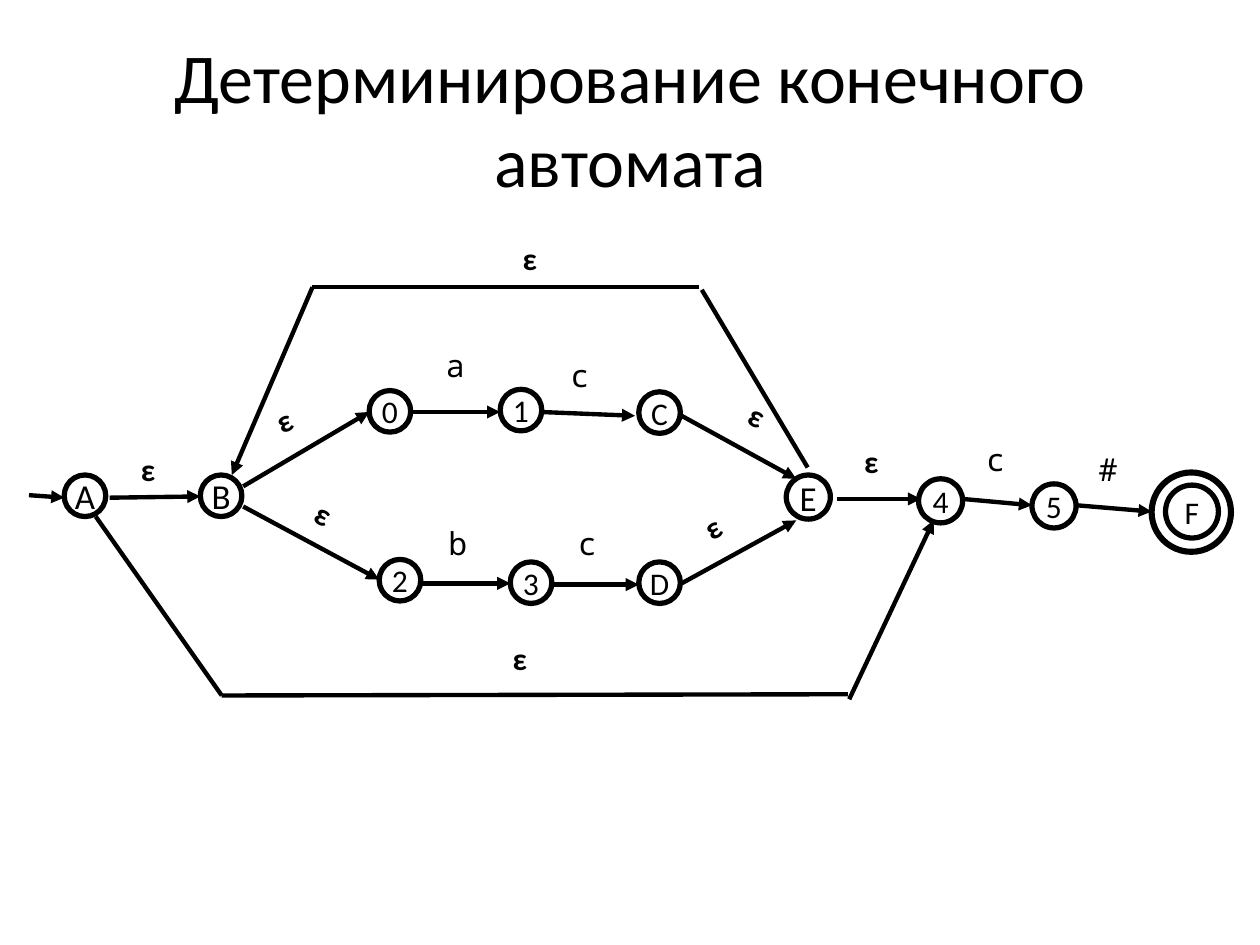
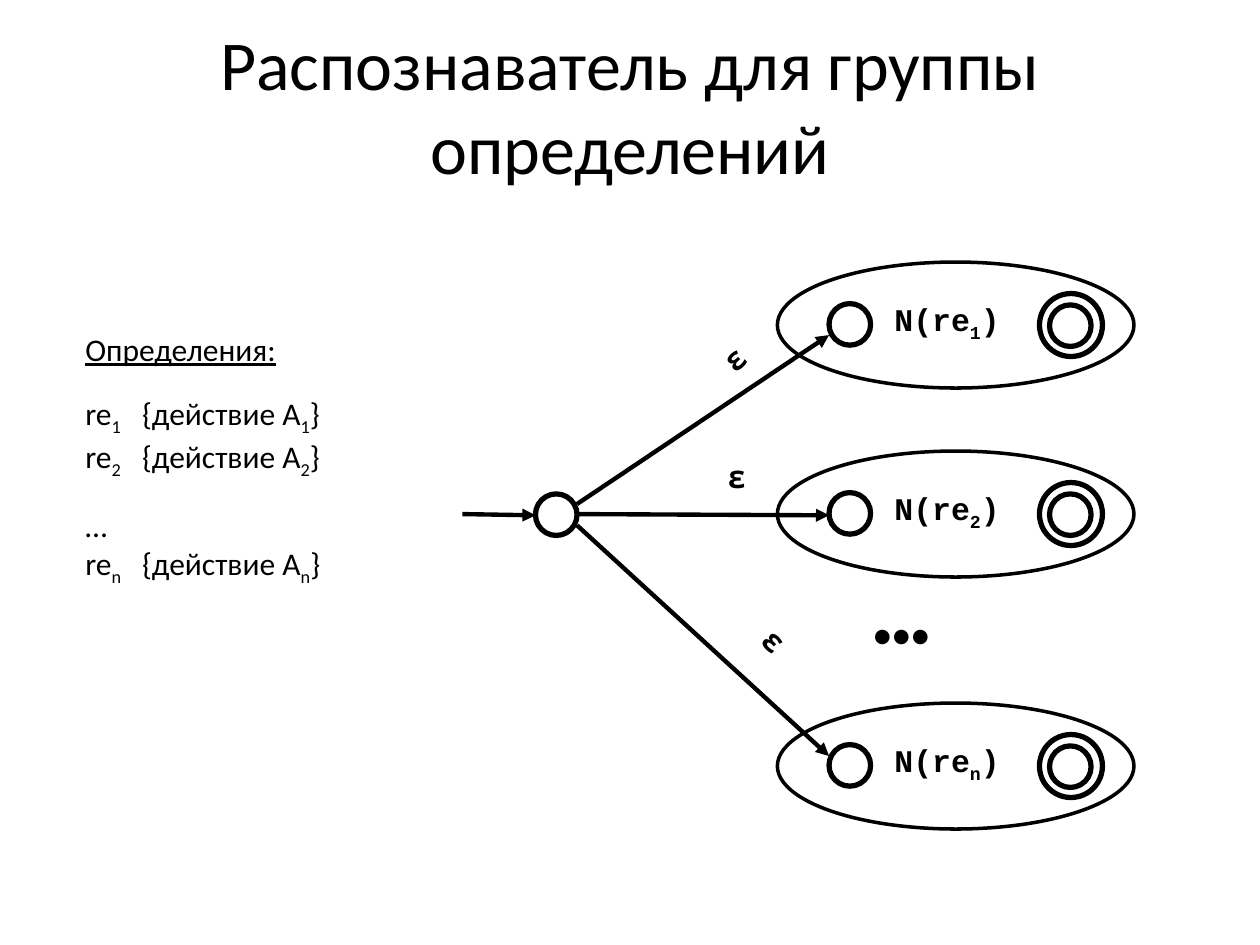
from pptx import Presentation
from pptx.dml.color import RGBColor
from pptx.enum.shapes import MSO_CONNECTOR, MSO_SHAPE
from pptx.enum.text import MSO_ANCHOR, PP_ALIGN
from pptx.oxml.ns import qn
from pptx.util import Inches, Pt
from lxml import etree

BLACK = RGBColor(0, 0, 0)
WHITE = RGBColor(255, 255, 255)
OVAL = MSO_SHAPE.OVAL
STRAIGHT = MSO_CONNECTOR.STRAIGHT
MIDDLE = MSO_ANCHOR.MIDDLE
CENTER = PP_ALIGN.CENTER
BODY, CODE, MONO = "Calibri", "Courier New", "Noto Sans Mono"
DOT = 0.33  # diameter of a plain state


class Deck:
    def __init__(self):
        self.prs = Presentation()
        self.prs.slide_width = Inches(10)
        self.prs.slide_height = Inches(7.5)
        self.slide = None

    def page(self, title, top):
        self.slide = self.prs.slides.add_slide(self.prs.slide_layouts[6])
        fill = self.slide.background.fill
        fill.solid()
        fill.fore_color.rgb = WHITE
        box = self.text(title, 0.5, top, 9, 1.44, size=40)
        box.text_frame.vertical_anchor = MIDDLE
        box.text_frame.paragraphs[0].alignment = CENTER

    def style(self, run, size, face=BODY, bold=False, line=False):
        font = run.font
        font.size, font.name, font.bold = Pt(size), face, bold
        font.underline = line
        font.color.rgb = BLACK

    def text(self, words, x, y, wide, high, size=18, face=BODY, bold=False, turn=0):
        box = self.slide.shapes.add_textbox(
            Inches(x), Inches(y), Inches(wide), Inches(high))
        box.rotation = turn
        frame = box.text_frame
        frame.word_wrap = True
        self.fill(frame.paragraphs[0], words, size, face, bold)
        return box

    def fill(self, para, words, size=18, face=BODY, bold=False, line=False):
        """Write text; the letter after each underscore is a subscript."""
        for row, part in enumerate(words.split("\n")):
            if row:
                para.add_line_break()
            head, *rest = part.split("_")
            bits = [(head, False)]
            for piece in rest:
                bits += [(piece[0], True), (piece[1:], False)]
            for bit, low in bits:
                run = para.add_run()
                run.text = bit
                self.style(run, size, face, bold, line)
                if low:
                    run._r.get_or_add_rPr().set("baseline", "-25000")

    def oval(self, x, y, wide=DOT, high=None, width=3, name="", size=18):
        shape = self.slide.shapes.add_shape(
            OVAL, Inches(x), Inches(y), Inches(wide), Inches(high or wide))
        shape.shadow.inherit = False
        shape.fill.background()
        shape.line.color.rgb = BLACK
        shape.line.width = Pt(width)
        if name:
            frame = shape.text_frame
            frame.text = name
            frame.word_wrap = False
            frame.vertical_anchor = MIDDLE
            para = frame.paragraphs[0]
            para.alignment = CENTER
            self.style(para.runs[0], size)

    def link(self, x1, y1, x2, y2, arrow=True):
        line = self.slide.shapes.add_connector(
            STRAIGHT, Inches(x1), Inches(y1), Inches(x2), Inches(y2))
        line.line.color.rgb = BLACK
        line.line.width = Pt(2.5)
        if arrow:
            tail = etree.SubElement(line.line._get_or_add_ln(), qn("a:tailEnd"))
            tail.set("type", "triangle")
        etree.SubElement(line._element.spPr, qn("a:effectLst"))

    def notes(self, words, x, y, wide):
        """Stacked paragraphs, the first one underlined as a heading."""
        box = self.text("", x, y, wide, 2.65)
        frame = box.text_frame
        for i, item in enumerate(words):
            para = frame.add_paragraph() if i else frame.paragraphs[0]
            para.space_before = Pt(15)
            self.fill(para, item, line=i == 0)
            tabs = etree.SubElement(para._p.get_or_add_pPr(), qn("a:tabLst"))
            stop = etree.SubElement(tabs, qn("a:tab"))
            stop.set("pos", str(Inches(0.45)))
            stop.set("algn", "l")


def graph(deck):
    deck.page("Детерминирование конечного автомата", 0.21)

    # States: name, left, top, diameter, text size
    for name, x, y, wide, size in (
            ("А", 0.51, 3.77, DOT, 20), ("B", 1.59, 3.77, DOT, 20),
            ("0", 2.93, 3.1, DOT, 18), ("1", 3.97, 3.09, DOT, 18),
            ("C", 5.07, 3.11, DOT, 18), ("2", 3.01, 4.44, DOT, 18),
            ("3", 4.05, 4.46, DOT, 18), ("D", 5.07, 4.46, DOT, 18),
            ("E", 6.24, 3.77, 0.35, 20), ("4", 7.29, 3.8, 0.35, 18),
            ("5", 8.19, 3.84, 0.35, 18), ("F", 9.25, 3.85, 0.42, 18)):
        deck.oval(x, y, wide, name=name, size=size)
    deck.oval(9.14, 3.75, 0.63, width=3.5)

    # Moves between states
    for ends in (
            (0.23, 3.93, 0.51, 3.95), (0.87, 3.95, 1.59, 3.94),
            (1.93, 3.86, 2.93, 3.27), (3.26, 3.27, 3.97, 3.27),
            (4.29, 3.27, 5.04, 3.3), (5.41, 3.3, 6.32, 3.8),
            (1.93, 4.02, 3.01, 4.6), (3.34, 4.63, 4.05, 4.63),
            (4.36, 4.64, 5.07, 4.64), (5.41, 4.63, 6.32, 4.13),
            (6.64, 3.96, 7.31, 3.96), (7.64, 3.96, 8.19, 4.01),
            (8.54, 4.01, 9.14, 4.06)):
        deck.link(*ends)

    # Loop back over the top, and bypass below
    deck.link(5.57, 2.3, 6.41, 3.71, arrow=False)
    deck.link(2.48, 2.28, 5.55, 2.28, arrow=False)
    deck.link(2.48, 2.28, 1.84, 3.77)
    deck.link(1.76, 5.52, 0.76, 4.1, arrow=False)
    deck.link(6.73, 5.51, 1.76, 5.52, arrow=False)
    deck.link(6.74, 5.55, 7.41, 4.13)

    # Labels of the moves
    for x, y, turn in (
            (1.02, 3.52, 0), (6.76, 3.46, 0), (4.05, 1.85, 0), (3.97, 5.02, 0),
            (2.09, 3.11, 336), (2.41, 3.9, 27), (5.85, 3.12, 25),
            (5.49, 3.96, 330)):
        deck.text("ε", x, y, 0.42, 0.4, bold=True, turn=turn)
    for sign, x, y in (
            ("a", 3.44, 2.7), ("c", 4.43, 2.78), ("b", 3.46, 4.11),
            ("c", 4.49, 4.11), ("c", 7.73, 3.44), ("#", 8.62, 3.52)):
        deck.text(sign, x, y, 0.42, 0.4, face=MONO)


def group(deck):
    deck.page("Распознаватель для группы определений", 0.11)

    # Definitions
    deck.notes(("Определения:",
                "re_1\t{действие A_1}\nre_2\t{действие A_2}",
                "…\nre_n\t{действие A_n}"), 0.58, 2.57, 3)

    # Common start state
    deck.link(3.67, 4.08, 4.25, 4.09)
    deck.oval(4.25, 3.92)

    # Branches: index, top, start and end of the arrow, label place and turn
    for mark, top, y1, y2, x, y, turn in (
            ("1", 2.08, 4, 2.66, 5.63, 2.6, 318),
            ("2", 3.58, 4.08, 4.09, 5.67, 3.58, 0),
            ("n", 5.58, 4.17, 6, 5.95, 4.93, 44)):
        deck.oval(6.17, top, 2.83, 1, width=2)
        deck.oval(6.58, top + 0.33)
        deck.oval(8.33, top + 0.34)
        deck.oval(8.25, top + 0.25, 0.5)
        deck.text(f"N(re_{mark})", 7, top + 0.25, 1.33, 0.44, face=CODE, bold=True)
        deck.link(4.58, y1, 6.58, y2)
        deck.text("ε", x, y, 0.5, 0.4, face=MONO, bold=True, turn=turn)
    deck.text("●●●", 6.83, 4.83, 1.67, 0.4)


def main():
    deck = Deck()
    graph(deck)
    group(deck)
    deck.prs.save("out.pptx")


if __name__ == "__main__":
    main()
